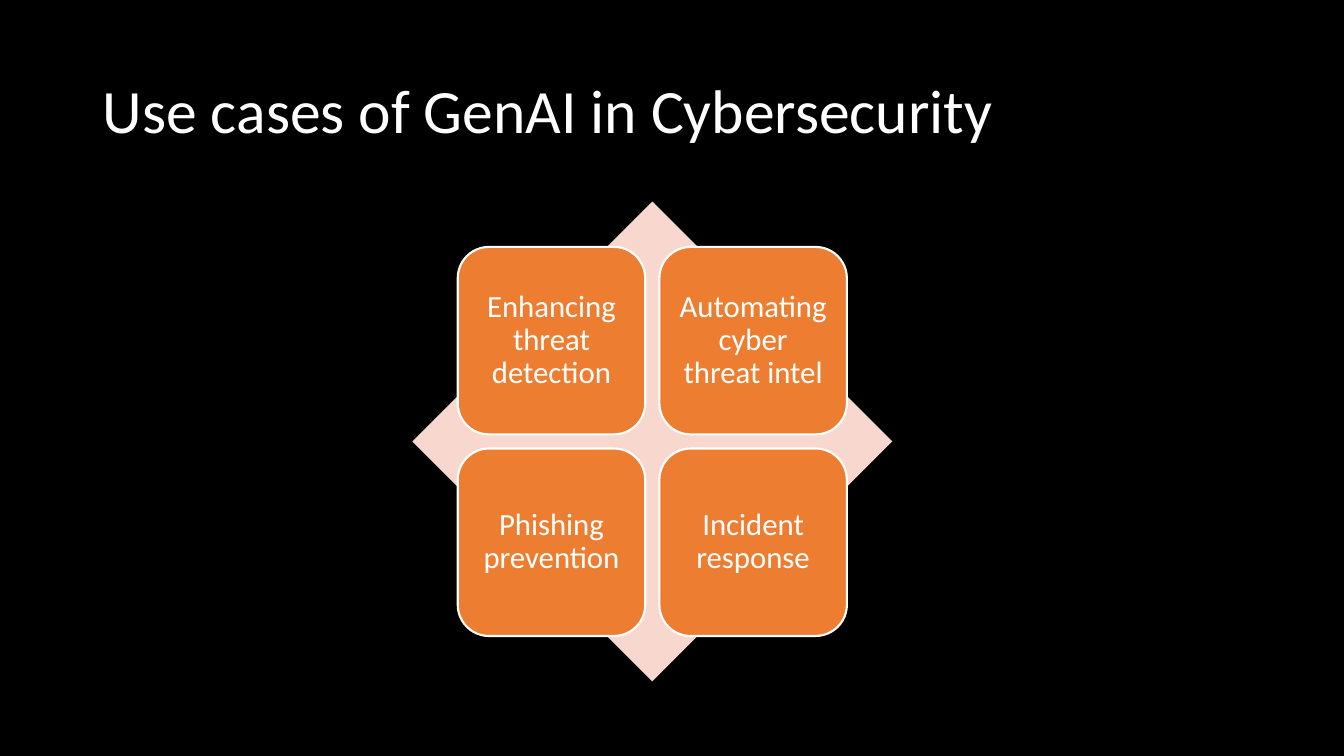
from dataclasses import dataclass

from pptx import Presentation
from pptx.dml.color import RGBColor
from pptx.enum.shapes import MSO_SHAPE
from pptx.enum.text import MSO_ANCHOR, MSO_AUTO_SIZE, PP_ALIGN
from pptx.util import Inches, Pt

DIAMOND, ROUND_RECT = MSO_SHAPE.DIAMOND, MSO_SHAPE.ROUNDED_RECTANGLE
MIDDLE, NO_FIT = MSO_ANCHOR.MIDDLE, MSO_AUTO_SIZE.NONE
LEFT, CENTER = PP_ALIGN.LEFT, PP_ALIGN.CENTER

TITLE = "Use cases of GenAI in Cybersecurity"
USE_CASES = [
    ["Enhancing threat detection", "Automating cyber threat intel"],
    ["Phishing prevention", "Incident response"],
]

TITLE_BOX = (0.92, 0.4, 11.5, 1.45)
DIAMOND_LEFT, DIAMOND_TOP, DIAMOND_SIZE = 4.09, 2, 4.76
TILE_SIZE, TILE_GAP = 1.86, 0.14
TILE_INSET = 0.09


@dataclass(frozen=True)
class Theme:
    background: RGBColor = RGBColor.from_string("000000")
    text: RGBColor = RGBColor.from_string("FFFFFF")
    diamond: RGBColor = RGBColor.from_string("F8D7CE")
    tile: RGBColor = RGBColor.from_string("ED7D31")
    font: str = "Calibri"
    title_size: int = 44
    tile_size: int = 22
    outline: float = 1.5


THEME = Theme()


def set_attrs(obj, values):
    for name, value in values.items():
        setattr(obj, name, value)


def write_text(sp, text, size, align, inset):
    tf = sp.text_frame
    tf.text = text
    margins = dict.fromkeys(
        ("margin_left", "margin_top", "margin_right", "margin_bottom"), Inches(inset)
    )
    set_attrs(tf, {"word_wrap": True, "auto_size": NO_FIT, "vertical_anchor": MIDDLE, **margins})
    p = tf.paragraphs[0]
    set_attrs(p, {"alignment": align, "line_spacing": 0.9})
    r = p.runs[0]
    set_attrs(r.font, {"name": THEME.font, "size": Pt(size)})
    r.font.color.rgb = THEME.text


def add_square(s, kind, left, top, size, color):
    sp = s.shapes.add_shape(kind, Inches(left), Inches(top), Inches(size), Inches(size))
    sp.shadow.inherit = False
    sp.fill.solid()
    sp.fill.fore_color.rgb = color
    sp.line.fill.background()
    return sp


def add_tile(s, text, left, top):
    sp = add_square(s, ROUND_RECT, left, top, TILE_SIZE, THEME.tile)
    sp.line.color.rgb = THEME.text
    sp.line.width = Pt(THEME.outline)
    write_text(sp, text, THEME.tile_size, CENTER, TILE_INSET)


def main():
    prs = Presentation()
    set_attrs(prs, {"slide_width": Inches(13.33), "slide_height": Inches(7.5)})
    s = prs.slides.add_slide(prs.slide_layouts[5])
    s.background.fill.solid()
    s.background.fill.fore_color.rgb = THEME.background

    title = s.shapes.title
    set_attrs(title, dict(zip(("left", "top", "width", "height"), map(Inches, TITLE_BOX))))
    write_text(title, TITLE, THEME.title_size, LEFT, 0.1)

    add_square(s, DIAMOND, DIAMOND_LEFT, DIAMOND_TOP, DIAMOND_SIZE, THEME.diamond)
    margin = (DIAMOND_SIZE - 2 * TILE_SIZE - TILE_GAP) / 2
    pitch = TILE_SIZE + TILE_GAP
    for row, names in enumerate(USE_CASES):
        for col, name in enumerate(names):
            left = DIAMOND_LEFT + margin + col * pitch
            top = DIAMOND_TOP + margin + row * pitch
            add_tile(s, name, left, top)

    prs.save("out.pptx")


if __name__ == "__main__":
    main()
